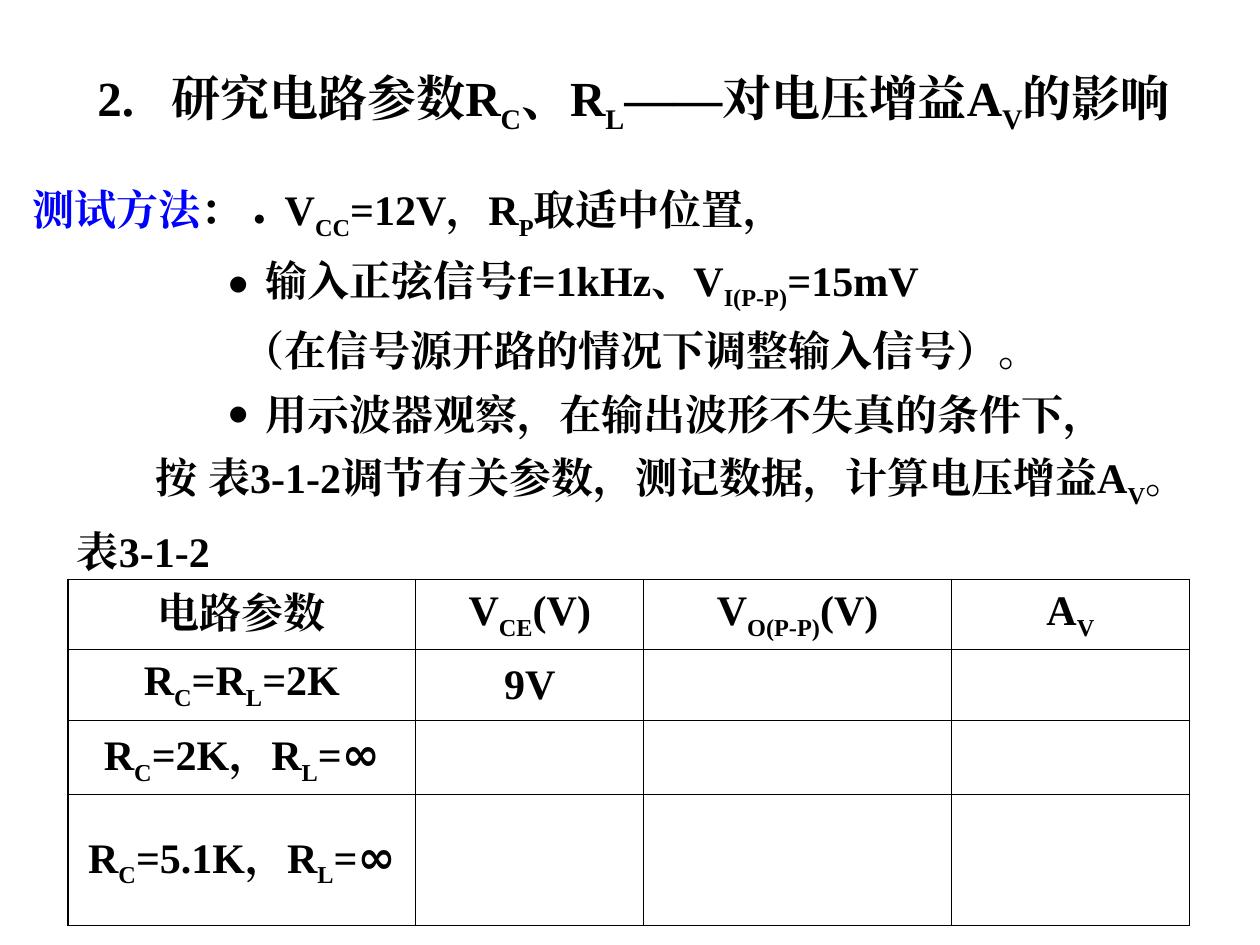
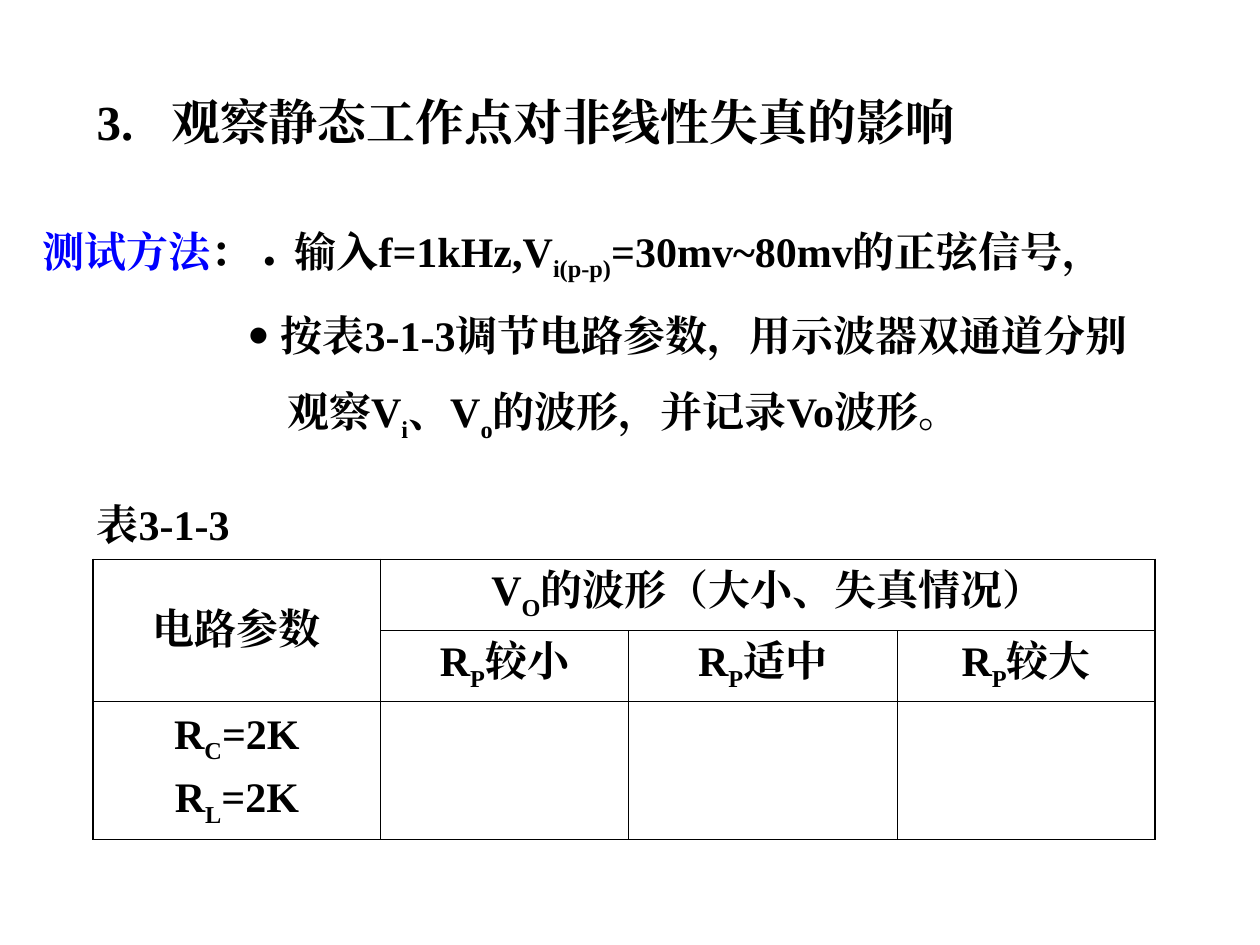
from dataclasses import dataclass
from itertools import groupby

from lxml import etree
from pptx import Presentation
from pptx.dml.color import RGBColor
from pptx.enum.text import MSO_ANCHOR, PP_ALIGN
from pptx.oxml.ns import qn
from pptx.util import Cm, Pt

CENTER, LEFT = PP_ALIGN.CENTER, PP_ALIGN.LEFT
MIDDLE, TOP = MSO_ANCHOR.MIDDLE, MSO_ANCHOR.TOP


@dataclass(frozen=True)
class Theme:
    ink: RGBColor = RGBColor(0, 0, 0)
    label: RGBColor = RGBColor(0, 0, 255)
    font: str = "Times New Roman"
    symbol_font: str = "DejaVu Sans"
    title_size: int = 28
    body_size: int = 24
    bullet_size: int = 12
    infinity_size: int = 26
    outer_line: float = 1.08
    inner_line: float = 0.45
    number_tab: float = 1.5
    method_tab: float = 5.15


THEME = Theme()
SYMBOL_SIZES = {"●": THEME.bullet_size, "∞": THEME.infinity_size}


@dataclass(frozen=True)
class Step:
    """One line of the method: its left margin in cm, and its bullet's hang."""
    text: str
    margin: float = 0
    hang: float = 0
    label: str = ""


# --- Text ---

def add_child(parent, tag, **attributes):
    values = {key: str(value) for key, value in attributes.items()}
    return etree.SubElement(parent, qn(tag), values)


def add_runs(paragraph, text):
    """Write text in which |bars| enclose subscripts."""
    for index, part in enumerate(text.split("|")):
        for size, letters in groupby(part, SYMBOL_SIZES.get):
            run = paragraph.add_run()
            run.text = "".join(letters)
            if size:
                run.font.size = Pt(size)
                run.font.name = THEME.symbol_font
            if index % 2:
                run._r.get_or_add_rPr().set("baseline", "-25000")


def style_paragraph(paragraph, size=THEME.body_size, align=LEFT):
    paragraph.alignment = align
    font = paragraph.font
    font.size, font.bold, font.name = Pt(size), True, THEME.font
    font.color.rgb = THEME.ink
    defaults = paragraph._p.pPr.find(qn("a:defRPr"))
    add_child(defaults, "a:ea", typeface=THEME.font)


def add_tab(paragraph, position):
    tabs = add_child(paragraph._p.get_or_add_pPr(), "a:tabLst")
    add_child(tabs, "a:tab", pos=Cm(position), algn="l")


def add_bullet(paragraph):
    properties = paragraph._p.get_or_add_pPr()
    share = THEME.bullet_size * 100000 // THEME.body_size
    add_child(properties, "a:buSzPct", val=share)
    add_child(properties, "a:buFont", typeface=THEME.symbol_font)
    add_child(properties, "a:buChar", char="●")


def next_paragraph(frame, index, space):
    if index == 0:
        return frame.paragraphs[0]
    paragraph = frame.add_paragraph()
    paragraph.space_before = Pt(space)
    return paragraph


def add_box(slide, left, top, width, height, anchor=TOP):
    box = slide.shapes.add_textbox(Cm(left), Cm(top), Cm(width), Cm(height))
    frame = box.text_frame
    frame.word_wrap = True
    frame.vertical_anchor = anchor
    return frame


def add_title(slide, area, text, align=LEFT, anchor=TOP):
    paragraph = add_box(slide, *area, anchor).paragraphs[0]
    add_tab(paragraph, THEME.number_tab)
    style_paragraph(paragraph, THEME.title_size, align)
    add_runs(paragraph, text)


def add_method(slide, area, steps, space):
    frame = add_box(slide, *area)
    for index, step in enumerate(steps):
        paragraph = next_paragraph(frame, index, space)
        properties = paragraph._p.get_or_add_pPr()
        properties.set("marL", str(Cm(step.margin)))
        properties.set("indent", str(-Cm(step.hang)))
        if step.hang:
            add_bullet(paragraph)
        if step.label:
            add_tab(paragraph, THEME.method_tab)
        style_paragraph(paragraph)
        if step.label:
            label = paragraph.add_run()
            label.text = step.label
            label.font.color.rgb = THEME.label
        add_runs(paragraph, step.text)


def add_caption(slide, area, text):
    paragraph = add_box(slide, *area).paragraphs[0]
    style_paragraph(paragraph)
    add_runs(paragraph, text)


# --- Tables ---

def add_borders(cell, outer_sides):
    properties = cell._tc.get_or_add_tcPr()
    for side, is_outer in outer_sides.items():
        width = THEME.outer_line if is_outer else THEME.inner_line
        line = add_child(properties, f"a:ln{side}", w=Pt(width))
        fill = add_child(line, "a:solidFill")
        add_child(fill, "a:srgbClr", val=THEME.ink)


def fill_cell(cell, text):
    cell.vertical_anchor = MIDDLE
    for index, line in enumerate(text.split("\n")):
        paragraph = next_paragraph(cell.text_frame, index, 6)
        style_paragraph(paragraph, align=CENTER)
        add_runs(paragraph, line)


def add_data_table(slide, left, top, widths, heights, texts, merges=()):
    rows, columns = len(heights), len(widths)
    table = slide.shapes.add_table(
        rows, columns, Cm(left), Cm(top),
        Cm(sum(widths)), Cm(sum(heights))).table
    table.first_row = table.horz_banding = False
    for column, width in zip(table.columns, widths):
        column.width = Cm(width)
    for row, height in zip(table.rows, heights):
        row.height = Cm(height)
    for first, last in merges:
        table.cell(*first).merge(table.cell(*last))
    for r in range(rows):
        for c in range(columns):
            cell = table.cell(r, c)
            add_borders(cell, {
                "L": c == 0,
                "R": c + cell.span_width == columns,
                "T": r == 0,
                "B": r + cell.span_height == rows,
            })
            cell.fill.background()
            fill_cell(cell, texts.get((r, c), ""))


# --- Slides ---

def add_gain_slide(slide):
    add_title(slide, (1.02, 1.32, 23.5, 1.45),
              "2.\t研究电路参数R|C|、R|L|——对电压增益A|V|的影响",
              CENTER, MIDDLE)
    add_method(slide, (0.41, 3.58, 24.71, 9.88), [
        Step("： ●\tV|CC|=12V，R|P|取适中位置，", label="测试方法"),
        Step("输入正弦信号f=1kHz、V|I(P-P)|=15mV", 4.7, 0.74),
        Step("（在信号源开路的情况下调整输入信号）。", 4.22),
        Step("用示波器观察，在输出波形不失真的条件下，", 4.7, 0.74),
        Step("按 表3-1-2调节有关参数，测记数据，计算电压增益A|V|。", 2.48),
    ], space=7.5)
    add_caption(slide, (1.3, 10.46, 4.24, 1.27), "表3-1-2")
    add_data_table(
        slide, 1.37, 11.68,
        widths=[7.01, 4.6, 6.2, 4.8], heights=[1.42, 1.42, 1.5, 2.64],
        texts={
            (0, 0): "电路参数", (0, 1): "V|CE|(V)",
            (0, 2): "V|O(P-P)|(V)", (0, 3): "A|V|",
            (1, 0): "R|C|=R|L|=2K", (1, 1): "9V",
            (2, 0): "R|C|=2K，R|L|=∞",
            (3, 0): "R|C|=5.1K，R|L|=∞",
        })


def add_distortion_slide(slide):
    add_title(slide, (1.7, 1.73, 22.86, 1.45),
              "3.\t观察静态工作点对非线性失真的影响")
    add_method(slide, (0.61, 4.42, 24.51, 6.68), [
        Step("： ●\t输入f=1kHz,V|i(p-p)|=30mv~80mv的正弦信号，",
             label="测试方法"),
        Step("按表3-1-3调节电路参数，用示波器双通道分别", 4.8, 0.63),
        Step("观察V|i|、V|o|的波形，并记录Vo波形。", 4.93),
    ], space=15)
    add_caption(slide, (1.7, 9.93, 4.8, 1.27), "表3-1-3")
    add_data_table(
        slide, 1.88, 11.28,
        widths=[5.79, 5.0, 5.41, 5.21], heights=[1.43, 1.42, 2.79],
        texts={
            (0, 0): "电路参数", (0, 1): "V|O|的波形（大小、失真情况）",
            (1, 1): "R|P|较小", (1, 2): "R|P|适中", (1, 3): "R|P|较大",
            (2, 0): "R|C|=2K\nR|L|=2K",
        },
        merges=[((0, 0), (1, 0)), ((0, 1), (0, 3))])


def main():
    deck = Presentation()
    deck.slide_width, deck.slide_height = Cm(25.4), Cm(19.05)
    blank = deck.slide_layouts[6]
    for build in (add_gain_slide, add_distortion_slide):
        build(deck.slides.add_slide(blank))
    deck.save("out.pptx")


if __name__ == "__main__":
    main()
